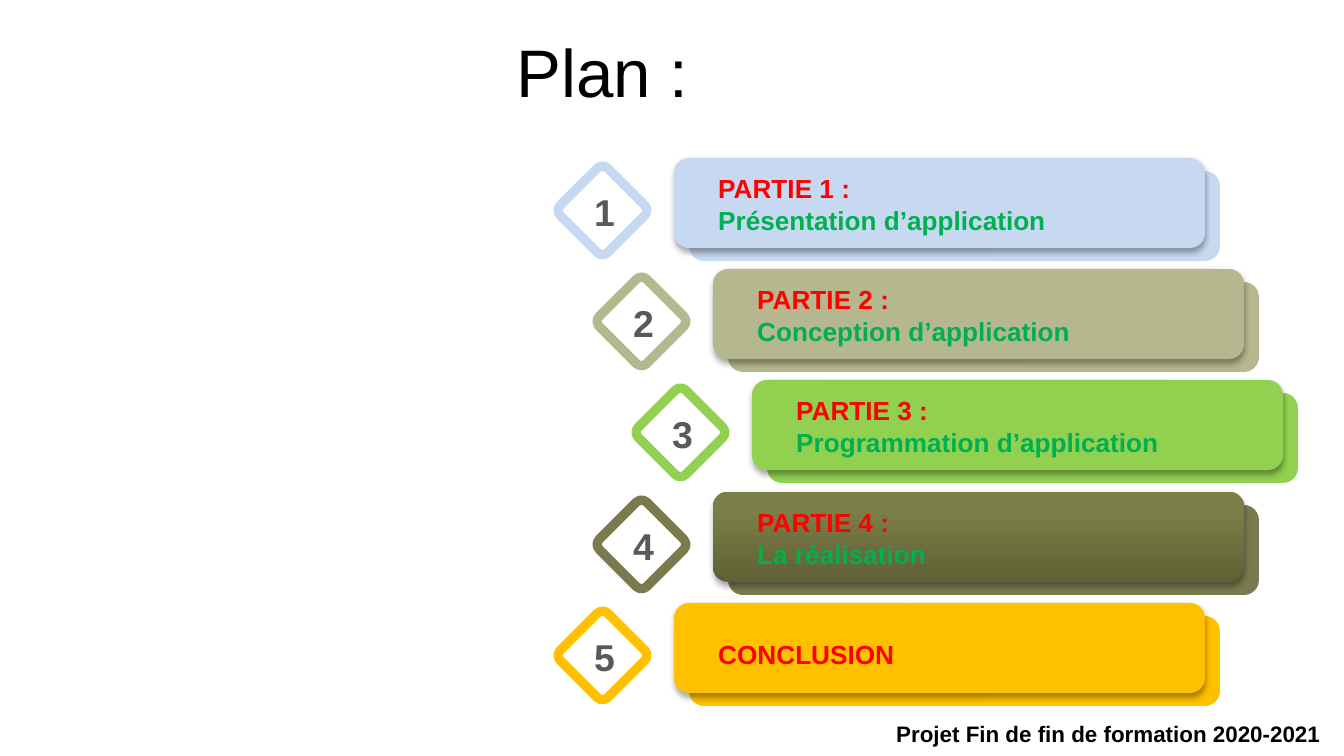
from copy import deepcopy
from dataclasses import dataclass

from lxml import etree
from pptx import Presentation
from pptx import util as u
from pptx.dml.color import RGBColor
from pptx.enum import shapes, text
from pptx.oxml.ns import qn

PX = 914400 / 134.4  # EMU in one px


def px(n):
    return u.Emu(round(n * PX))


@dataclass(frozen=True)
class Theme:
    font: str = "Arial"
    ink: str = "000000"
    paper: str = "FFFFFF"
    heading: str = "FF0000"
    topic: str = "00B050"
    number: str = "595959"
    title_pt: int = 36
    number_pt: int = 20
    card_pt: int = 14
    footer_pt: int = 12
    badge_line_pt: int = 5


class Deck:
    def __init__(self, theme):
        self.theme = theme
        self.prs = Presentation()
        self.prs.slide_width, self.prs.slide_height = px(1344), px(756)
        self.s = self.prs.slides.add_slide(self.prs.slide_layouts[5])

    def add_words(self, p, words, size, color, bold=True):
        r = p.add_run()
        r.text = words
        r.font.name = self.theme.font
        r.font.size = u.Pt(size)
        r.font.bold = bold
        r.font.color.rgb = RGBColor.from_string(color)

    def title(self, words, x, y, w, h):
        sp = self.s.shapes.title
        sp.left, sp.top, sp.width, sp.height = map(px, (x, y, w, h))
        tf = sp.text_frame
        tf.auto_size = text.MSO_AUTO_SIZE.NONE
        tf.vertical_anchor = text.MSO_ANCHOR.MIDDLE
        p = tf.paragraphs[0]
        p.alignment = text.PP_ALIGN.LEFT
        self.add_words(p, words, self.theme.title_pt, self.theme.ink, bold=False)

    def label(self, parent, words, box, size, color,
              align=text.PP_ALIGN.LEFT, anchor=text.MSO_ANCHOR.MIDDLE):
        sp = parent.add_textbox(*map(px, box))
        tf = sp.text_frame
        tf.word_wrap = True
        tf.auto_size = text.MSO_AUTO_SIZE.SHAPE_TO_FIT_TEXT
        tf.vertical_anchor = anchor
        p = tf.paragraphs[0]
        p.alignment = align
        self.add_words(p, words, size, color)
        return p

    def rounded(self, parent, box, color):
        sp = parent.add_shape(shapes.MSO_SHAPE.ROUNDED_RECTANGLE, *map(px, box))
        sp.shadow.inherit = False
        sp.fill.solid()
        sp.fill.fore_color.rgb = RGBColor.from_string(color)
        sp.line.fill.background()
        return sp

    def badge(self, parent, box, color):
        sp = self.rounded(parent, box, self.theme.paper)
        sp.adjustments[0] = 0.107
        sp.rotation = 45
        sp.line.color.rgb = RGBColor.from_string(color)
        sp.line.width = u.Pt(self.theme.badge_line_pt)

    def drop_shadow(self, sp):
        effects = sp._element.spPr.find(qn("a:effectLst"))
        shadow = etree.SubElement(
            effects, qn("a:outerShdw"), blurRad=str(u.Pt(3.1)),
            dist=str(u.Pt(1.8)), dir="5400000", rotWithShape="0")
        color = etree.SubElement(shadow, qn("a:srgbClr"), val=self.theme.ink)
        etree.SubElement(color, qn("a:alpha"), val="35000")

    def gradient(self, sp, stops):
        sp.fill.gradient()
        sp.fill.gradient_angle = 90
        stop_list = sp._element.spPr.find(".//" + qn("a:gsLst"))
        while len(stop_list) < len(stops):
            stop_list.insert(1, deepcopy(stop_list[0]))
        for stop, (position, color) in zip(sp.fill.gradient_stops, stops):
            stop.position = position
            stop.color.rgb = RGBColor.from_string(color)

    def plan_row(self, number, x, y, color, lines, stops=None):
        t = self.theme
        group = self.s.shapes.add_group_shape().shapes

        # Card with its offset backing
        self.rounded(group, (x + 15, y + 13, 531, 90), color)
        card = self.rounded(group, (x, y, 531, 90), color)
        if stops:
            self.gradient(card, stops)
        self.drop_shadow(card)

        # Card text: two lines, or one in the middle
        tops = (7, 39) if len(lines) == 2 else (28,)
        for words, top, ink in zip(lines, tops, (t.heading, t.topic)):
            self.label(group, words, (x + 31, y + top, 445, 46), t.card_pt, ink)

        # Numbered diamond
        self.badge(group, (x - 105, y + 19, 67, 67), color)
        self.label(group, str(number), (x - 93, y + 24, 44, 59),
                   t.number_pt, t.number, text.PP_ALIGN.CENTER)

    def footer(self, words, x, y, w, h):
        p = self.label(self.s.shapes, words, (x, y, w, h), self.theme.footer_pt,
                       self.theme.ink, anchor=text.MSO_ANCHOR.TOP)
        p.line_spacing = 0.93


# Rows: indent level, colour, lines, gradient stops
OLIVE = ((0, "5F6136"), (0.8, "7B7E46"), (1, "7D7F45"))
ROWS = [
    (0, "C6D9F1", ("PARTIE 1 :", "Présentation d’application"), None),
    (1, "B5B78E", ("PARTIE 2 :", "Conception d’application"), None),
    (2, "92D050", ("PARTIE 3 :", "Programmation d’application"), None),
    (1, "797B4F", ("PARTIE 4 :", "La réalisation"), OLIVE),
    (0, "FFC000", ("CONCLUSION",), None),
]
LEFT, TOP, INDENT, SPAN = 674, 158, 39, 445  # SPAN: first card top to last


def main():
    deck = Deck(Theme())
    deck.title("Plan :", 503, 28, 328, 85)
    for i, (level, color, lines, stops) in enumerate(ROWS):
        y = TOP + round(i * SPAN / (len(ROWS) - 1))
        deck.plan_row(i + 1, LEFT + level * INDENT, y, color, lines, stops)
    deck.footer("Projet Fin de fin de formation 2020-2021", 883, 716, 458, 39)
    deck.prs.save("out.pptx")


if __name__ == "__main__":
    main()
